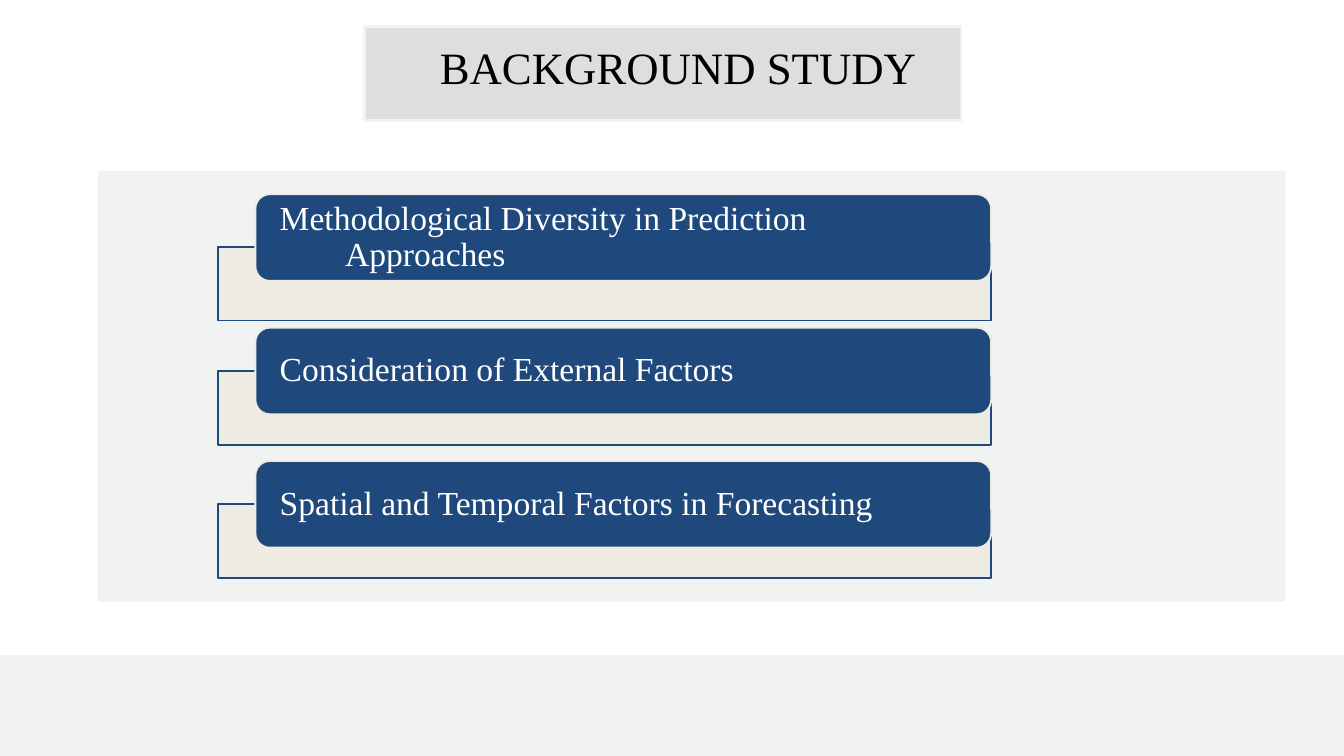
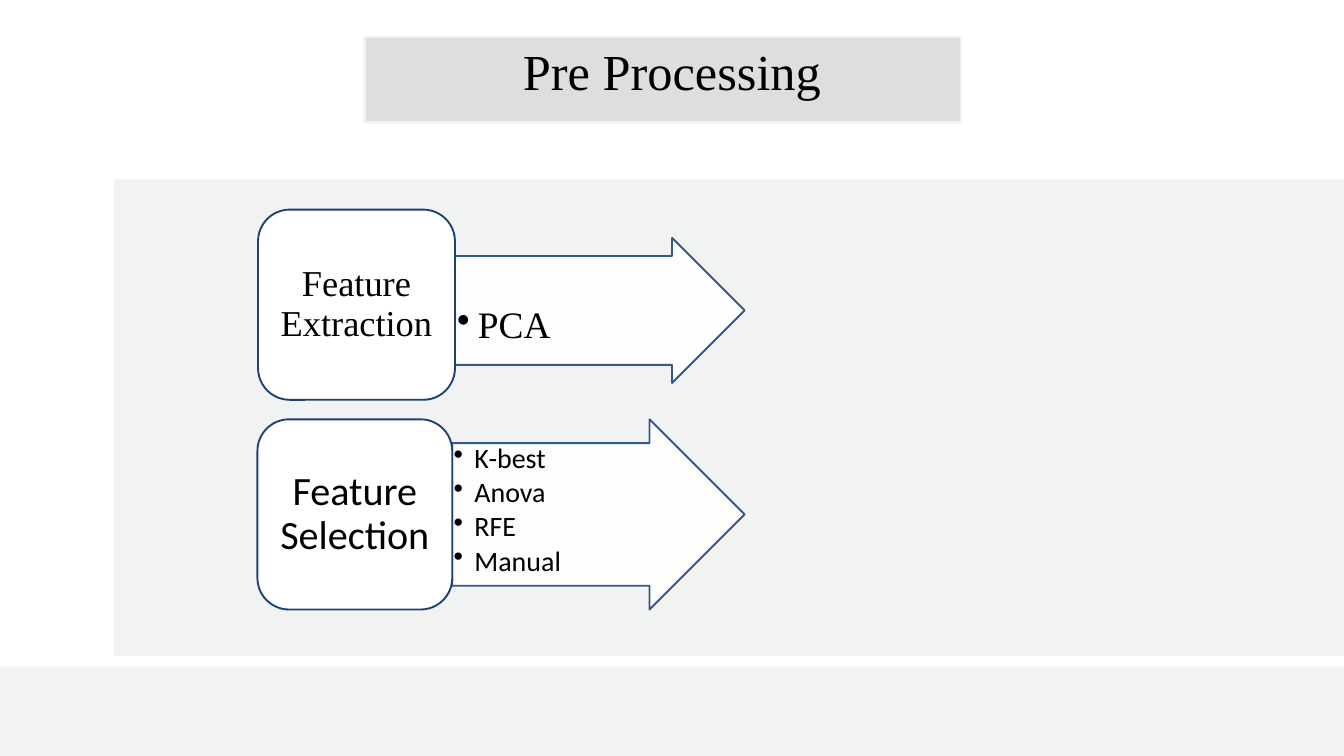
from dataclasses import dataclass
from typing import NamedTuple, Optional

from lxml.etree import SubElement
from pptx import Presentation
from pptx.dml.color import RGBColor
from pptx.enum.shapes import MSO_SHAPE as Preset
from pptx.enum.text import MSO_ANCHOR as Anchor, MSO_AUTO_SIZE as AutoSize, PP_ALIGN as Align
from pptx.oxml.ns import qn
from pptx.util import Pt


@dataclass(frozen=True)
class Theme:
    pale: str = "F1F2F2"
    plate: str = "DDDEDE"
    navy: str = "1F497D"
    card_edge: str = "1C4271"
    cream: str = "EEECE1"
    white: str = "FFFFFF"
    black: str = "000000"
    serif: str = "Times New Roman"
    sans: str = "Calibri"
    factor_size: float = 36
    edge: float = 2
    plate_edge: float = 3
    line_spacing: float = 0.9
    opacity: int = 90


THEME = Theme()


class Box(NamedTuple):
    left: float
    top: float
    width: float
    height: float


class Type(NamedTuple):
    font: str
    size: float
    color: str = THEME.black


class Insets(NamedTuple):
    left: float = 0
    top: float = 0
    right: float = 0
    bottom: float = 0


@dataclass(frozen=True)
class Frame:
    title: str
    title_size: float
    title_box: Box
    plate: Box
    panel: Box
    footer_top: float


@dataclass(frozen=True)
class Factor:
    text: str
    tray_drop: float


@dataclass(frozen=True)
class Step:
    name: str
    card: Box
    name_type: Type
    card_insets: Insets
    arrow_top: float
    arrow_size: tuple[float, float]
    methods: tuple[str, ...]
    method_type: Type
    arrow_insets: Insets


BACKGROUND = Frame("BACKGROUND STUDY", 48, Box(450, 42.5, 553, 58.3),
                   Box(390.2, 28.8, 639.4, 100), Box(105, 183, 1272.2, 461.5), 702)
PREPROCESSING = Frame("Pre Processing", 54, Box(437, 42.5, 566, 65.5),
                      Box(390.2, 39.6, 639.4, 91.4), Box(122.4, 192.2, 1317.6, 510.5), 714.2)

FACTORS = (
    Factor("Methodological Diversity in Prediction Approaches", 56.2),
    Factor("Consideration of External Factors", 46.4),
    Factor("Spatial and Temporal Factors in Forecasting", 46.4),
)
FIRST_PILL = Box(273.6, 208.1, 788.4, 92.9)
FACTOR_PITCH = 142.9
TRAY_LEFT, TRAY_WIDTH, TRAY_HEIGHT = 234, 828, 79.2
WRAP_INDENT = 70

STEPS = (
    Step("Feature Extraction", Box(276.5, 224.6, 211, 203.8), Type(THEME.serif, 39),
         Insets(11.5, 5.8, 11.5, 5.8), 254.9, (310.3, 155.5),
         ("PCA",), Type(THEME.serif, 40), Insets(2.2, 54, 2.2, 2.2)),
    Step("Feature Selection", Box(275.8, 449.3, 208.8, 203.8), Type(THEME.sans, 43),
         Insets(13, 6.5, 13, 6.5), 449.3, (313.2, 203.8),
         ("K-best", "Anova", "RFE", "Manual"), Type(THEME.sans, 30),
         Insets(1.4, 1.4, 1.4, 1.4)),
)
BULLET_INDENT = 22.3
METHOD_GAP = 4.2


def points(box: Box) -> list:
    return [Pt(length) for length in box]


def fade(fill) -> None:
    color = fill._xPr.find(qn("a:solidFill")).find(qn("a:srgbClr"))
    SubElement(color, qn("a:alpha")).set("val", str(THEME.opacity * 1000))


def draw(slide, preset, box: Box, fill: str, line: Optional[str] = None,
         weight: float = THEME.edge):
    shape = slide.shapes.add_shape(preset, *points(box))
    shape.shadow.inherit = False
    shape.fill.solid()
    shape.fill.fore_color.rgb = RGBColor.from_string(fill)
    if line:
        shape.line.color.rgb = RGBColor.from_string(line)
        shape.line.width = Pt(weight)
    else:
        shape.line.fill.background()
    return shape


def write(shape, lines: tuple[str, ...], style: Type, insets: Insets, align=Align.LEFT,
          anchor=Anchor.MIDDLE, spacing: float = THEME.line_spacing) -> list:
    body = shape.text_frame
    body.word_wrap = True
    body.vertical_anchor = anchor
    body.margin_left, body.margin_top, body.margin_right, body.margin_bottom = map(Pt, insets)
    paragraphs = [body.paragraphs[0]] + [body.add_paragraph() for _ in lines[1:]]
    for paragraph, line in zip(paragraphs, lines):
        paragraph.alignment = align
        paragraph.line_spacing = spacing
        run = paragraph.add_run()
        run.text = line
        run.font.name = style.font
        run.font.size = Pt(style.size)
        run.font.color.rgb = RGBColor.from_string(style.color)
    return paragraphs


def hang(paragraph, indent: float):
    properties = paragraph._p.get_or_add_pPr()
    properties.set("marL", str(Pt(indent)))
    properties.set("indent", str(Pt(-indent)))
    return properties


def add_frame(deck, frame: Frame):
    slide = deck.slides.add_slide(deck.slide_layouts[6])
    draw(slide, Preset.RECTANGLE, frame.panel, THEME.pale)
    draw(slide, Preset.RECTANGLE, frame.plate, THEME.plate, THEME.pale, THEME.plate_edge)
    draw(slide, Preset.RECTANGLE, Box(-45.4, frame.footer_top, 1572.5, 146.9), THEME.pale)
    title = slide.shapes.add_textbox(*points(frame.title_box))
    write(title, (frame.title,), Type(THEME.serif, frame.title_size), Insets(),
          Align.CENTER, Anchor.TOP, 1.0)
    title.text_frame.auto_size = AutoSize.SHAPE_TO_FIT_TEXT
    return slide


def add_factor(slide, factor: Factor, row: int) -> None:
    pill_box = FIRST_PILL._replace(top=FIRST_PILL.top + row * FACTOR_PITCH)
    tray_box = Box(TRAY_LEFT, pill_box.top + factor.tray_drop, TRAY_WIDTH, TRAY_HEIGHT)
    tray = draw(slide, Preset.RECTANGLE, tray_box, THEME.cream, THEME.navy)
    fade(tray.fill)
    pill = draw(slide, Preset.ROUNDED_RECTANGLE, pill_box, THEME.navy, THEME.cream)
    style = Type(THEME.serif, THEME.factor_size, THEME.white)
    for paragraph in write(pill, (factor.text,), style, Insets(21.6, 0, 21.6, 0)):
        hang(paragraph, WRAP_INDENT)


def add_step(slide, step: Step) -> None:
    arrow_box = Box(step.card.left + step.card.width, step.arrow_top, *step.arrow_size)
    arrow = draw(slide, Preset.RIGHT_ARROW, arrow_box, THEME.white, THEME.navy)
    arrow.adjustments[0] = 0.75
    arrow.adjustments[1] = 0.5
    fade(arrow.fill)
    fade(arrow.line.fill)
    for method in write(arrow, step.methods, step.method_type, step.arrow_insets,
                        anchor=Anchor.TOP):
        method.level = 1
        method.space_after = Pt(METHOD_GAP)
        SubElement(hang(method, BULLET_INDENT), qn("a:buChar")).set("char", "•")
    card = draw(slide, Preset.ROUNDED_RECTANGLE, step.card, THEME.white, THEME.card_edge)
    write(card, (step.name,), step.name_type, step.card_insets, Align.CENTER)


def main() -> None:
    deck = Presentation()
    deck.slide_width, deck.slide_height = Pt(1440), Pt(810)
    background = add_frame(deck, BACKGROUND)
    for row, factor in enumerate(FACTORS):
        add_factor(background, factor, row)
    preprocessing = add_frame(deck, PREPROCESSING)
    for step in STEPS:
        add_step(preprocessing, step)
    deck.save("out.pptx")


if __name__ == "__main__":
    main()
